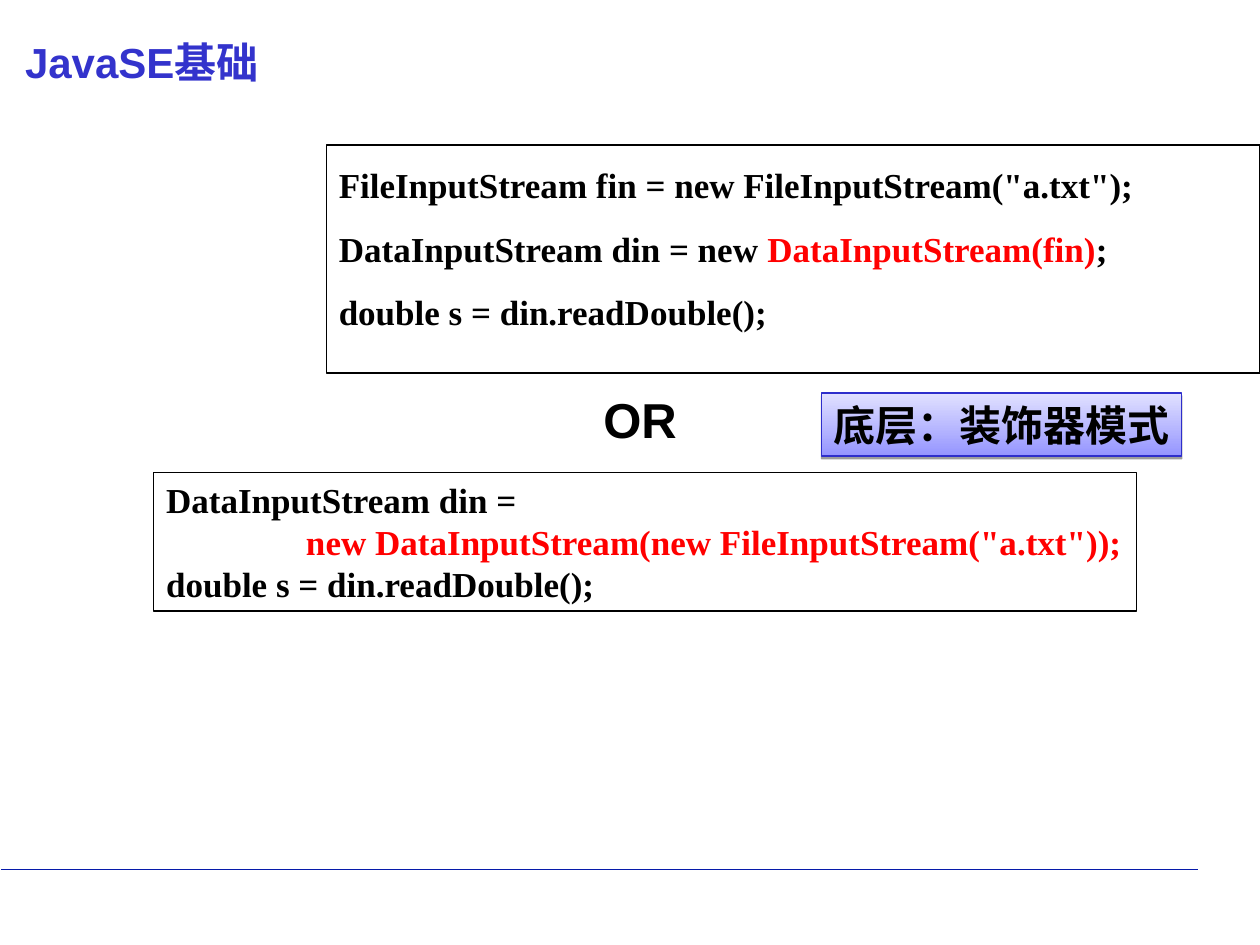
import pptx
import pptx.util
import pptx.dml.color
import pptx.enum.shapes
import pptx.enum.text
import pptx.oxml
import pptx.oxml.ns

Inches, Pt = pptx.util.Inches, pptx.util.Pt
RGBColor = pptx.dml.color.RGBColor
BLACK = RGBColor(0x00, 0x00, 0x00)
RED = RGBColor(0xFF, 0x00, 0x00)
BLUE = RGBColor(0x33, 0x33, 0xCC)
NAVY = RGBColor(0x06, 0x1A, 0xAA)
EDGE = RGBColor(0x2E, 0x2E, 0xCB)
DARK = RGBColor(0x95, 0x95, 0xFF)
LIGHT = RGBColor(0xE1, 0xE1, 0xFF)
SERIF = "Times New Roman"
NS = pptx.oxml.ns.nsdecls("a")

deck = pptx.Presentation()
deck.slide_width, deck.slide_height = Inches(10), Inches(7.5)
slide = deck.slides.add_slide(deck.slide_layouts[6])


def add_box(place, lines, size, font, color=BLACK, edge=None, wrap=False):
    """Add bold text, framed if edge is given; a line is a list of (text, color) runs."""
    place = [Inches(n) for n in place]
    if edge is None:
        box = slide.shapes.add_textbox(*place)
    else:
        box = slide.shapes.add_shape(pptx.enum.shapes.MSO_SHAPE.RECTANGLE, *place)
        box.shadow.inherit = False
        box.fill.background()
        box.line.color.rgb = edge
        box.line.width = Pt(0.75)
    frame = box.text_frame
    frame.word_wrap = wrap
    frame.vertical_anchor = pptx.enum.text.MSO_ANCHOR.TOP
    for i, line in enumerate(lines):
        para = frame.paragraphs[0] if i == 0 else frame.add_paragraph()
        para.alignment = pptx.enum.text.PP_ALIGN.LEFT
        para.font.name, para.font.size, para.font.bold = font, Pt(size), True
        para.font.color.rgb = color
        for text, tint in line:
            run = para.add_run()
            run.text = text
            run.font.name, run.font.size, run.font.bold = font, Pt(size), True
            run.font.color.rgb = tint
    return box


rule = slide.shapes.add_connector(
    pptx.enum.shapes.MSO_CONNECTOR.STRAIGHT,
    Inches(0.01), Inches(6.9), Inches(9.51), Inches(6.9))
rule.line.color.rgb = NAVY
rule.line.width = Pt(1)
rule._element.spPr.append(pptx.oxml.parse_xml(f"<a:effectLst {NS}/>"))

add_box((0.1, 0.24, 9.22, 0.5), [[("JavaSE基础", BLUE)]], 24, "Arial", BLUE, wrap=True)

steps = add_box((2.59, 1.15, 7.41, 1.81), [
    [('FileInputStream fin = new FileInputStream("a.txt");', BLACK)],
    [("DataInputStream din = new ", BLACK), ("DataInputStream(fin)", RED), (";", BLACK)],
    [("double s = din.readDouble();", BLACK)],
], 20, SERIF, edge=BLACK, wrap=True)
for i, para in enumerate(steps.text_frame.paragraphs):
    para.line_spacing = 1.3
    para.space_before = Pt(5 if i else 0)

add_box((1.22, 3.75, 7.8, 1.1), [
    [("DataInputStream din =", BLACK)],
    [(" " * 16 + 'new DataInputStream(new FileInputStream("a.txt"));', RED)],
    [("double s = din.readDouble();", BLACK)],
], 20, SERIF, edge=BLACK)

add_box((4.69, 3.04, 0.78, 0.57), [[("OR", BLACK)]], 28, "Arial")

label = add_box((6.52, 3.12, 2.86, 0.5), [[("底层：装饰器模式", BLACK)]], 24, SERIF, edge=EDGE)
label.fill.gradient()
label.fill.gradient_angle = 90
for stop, tint, spot in zip(label.fill.gradient_stops, (DARK, LIGHT), (0, 1)):
    stop.color.rgb = tint
    stop.position = spot
effects = label._element.spPr.find(pptx.oxml.ns.qn("a:effectLst"))
effects.append(pptx.oxml.parse_xml(
    f'<a:outerShdw {NS} blurRad="0" dist="{Pt(1.6)}" dir="5400000" rotWithShape="0">'
    '<a:srgbClr val="000000"><a:alpha val="38000"/></a:srgbClr></a:outerShdw>'))

deck.save("out.pptx")
